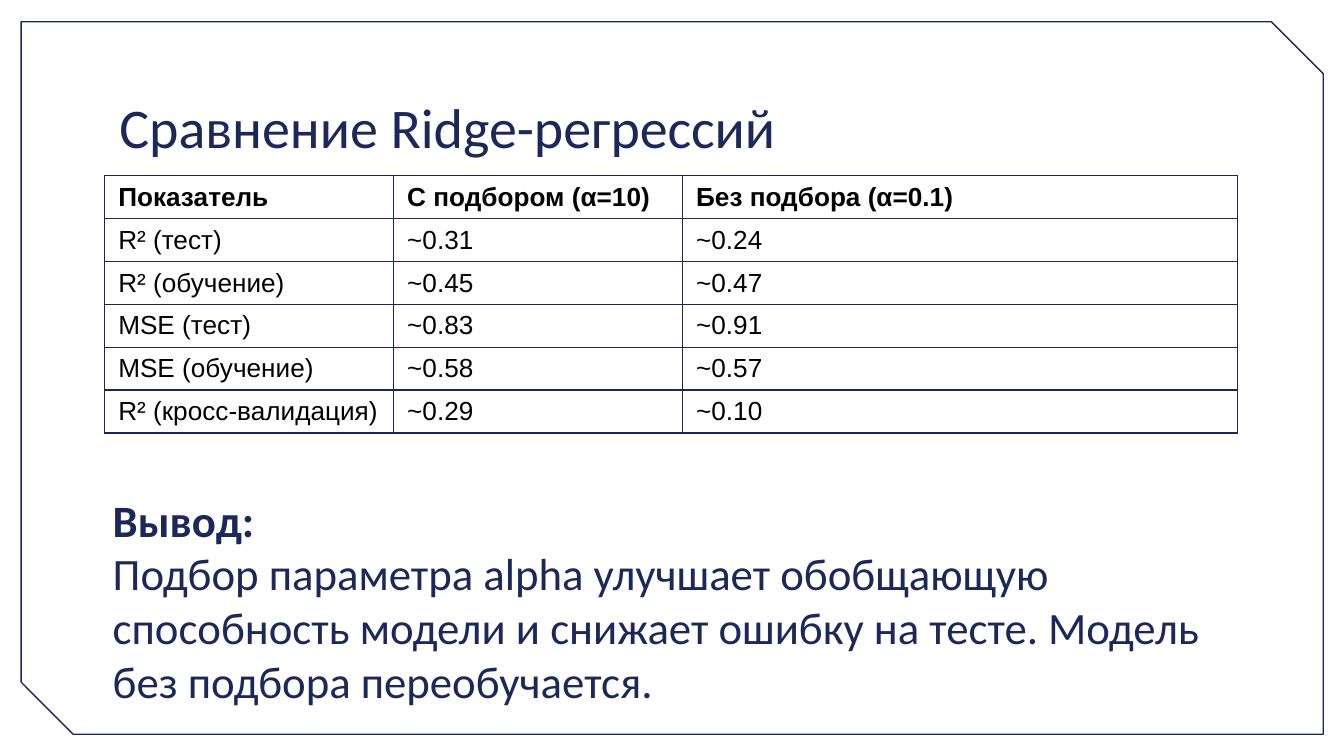
"""Build a slide that compares two ridge regressions in a table."""
import pptx
import pptx.util
import pptx.dml.color
import pptx.enum.shapes
import pptx.enum.text
import pptx.oxml
import pptx.oxml.ns

NAVY = "1C285A"
deck = pptx.Presentation()
deck.slide_width = pptx.util.Inches(10)
deck.slide_height = deck.slide_width * 9 // 16
slide = deck.slides.add_slide(deck.slide_layouts[6])
col = deck.slide_width / 100
row = deck.slide_height / 100


def grid(x, y, w, h):
    return int(x * col), int(y * row), int(w * col), int(h * row)


def write(para, text, font, size, tint, bold=False):
    run = para.add_run()
    run.text = text
    run.font.name = font
    run.font.size = pptx.util.Pt(size)
    run.font.bold = bold
    run.font.color.rgb = pptx.dml.color.RGBColor.from_string(tint)


frame = slide.shapes.add_shape(
    pptx.enum.shapes.MSO_SHAPE.SNIP_2_DIAG_RECTANGLE, *grid(1.58, 2.88, 96.88, 94.25))
frame.adjustments[0] = 0
frame.adjustments[1] = 7.3 / 100
frame.shadow.inherit = False
frame.fill.background()
frame.line.color.rgb = pptx.dml.color.RGBColor.from_string(NAVY)
frame.line.width = pptx.util.Pt(0.75)

anchor = pptx.enum.text.MSO_ANCHOR
title = slide.shapes.add_textbox(*grid(7.9, 10.5, 84.3, 11.2)).text_frame
note = slide.shapes.add_textbox(*grid(5.7, 74.9, 92.8, 8.9)).text_frame
for box, place in ((title, anchor.TOP), (note, anchor.MIDDLE)):
    box.word_wrap = True
    box.vertical_anchor = place
    box.margin_left = box.margin_right = pptx.util.Inches(0.1)
    box.margin_top = box.margin_bottom = pptx.util.Inches(0.1)
write(title.paragraphs[0], "Сравнение Ridge-регрессий", "Calibri", 30, NAVY)

data = [
    ("Показатель", "С подбором (α=10)", "Без подбора (α=0.1)"),
    ("R² (тест)", "~0.31", "~0.24"),
    ("R² (обучение)", "~0.45", "~0.47"),
    ("MSE (тест)", "~0.83", "~0.91"),
    ("MSE (обучение)", "~0.58", "~0.57"),
    ("R² (кросс-валидация)", "~0.29", "~0.10"),
]
high = 5.67
table = slide.shapes.add_table(
    len(data), 3, *grid(7.8, 23.25, 84.3, high * len(data))).table
table.first_row = table.horz_banding = False
for part, share in zip(table.columns, (21.5, 21.5, 41.3)):
    part.width = int(share * col)
for r, line in enumerate(data):
    table.rows[r].height = int(high * row)
    for c, text in enumerate(line):
        cell = table.cell(r, c)
        cell.vertical_anchor = anchor.MIDDLE
        cell.margin_top = cell.margin_bottom = pptx.util.Inches(0.04)
        write(cell.text_frame.paragraphs[0], text, "Arial", 14, "000000", r == 0)
        props = cell._tc.get_or_add_tcPr()
        for side in ("lnL", "lnR", "lnT", "lnB"):
            props.append(pptx.oxml.parse_xml(
                f'<a:{side} {pptx.oxml.ns.nsdecls("a")} w="9525"><a:solidFill>'
                f'<a:srgbClr val="{NAVY}"/></a:solidFill></a:{side}>'))
        cell.fill.background()

lines = [
    "Вывод:",
    "Подбор параметра alpha улучшает обобщающую",
    "способность модели и снижает ошибку на тесте. Модель",
    "без подбора переобучается.",
]
for i, text in enumerate(lines):
    para = note.add_paragraph() if i else note.paragraphs[0]
    props = para._p.get_or_add_pPr()
    props.set("marL", str(pptx.util.Inches(0.5)))
    props.set("indent", str(pptx.util.Inches(-0.33)))
    write(para, text, "Calibri", 24, NAVY, i == 0)

deck.save("out.pptx")
